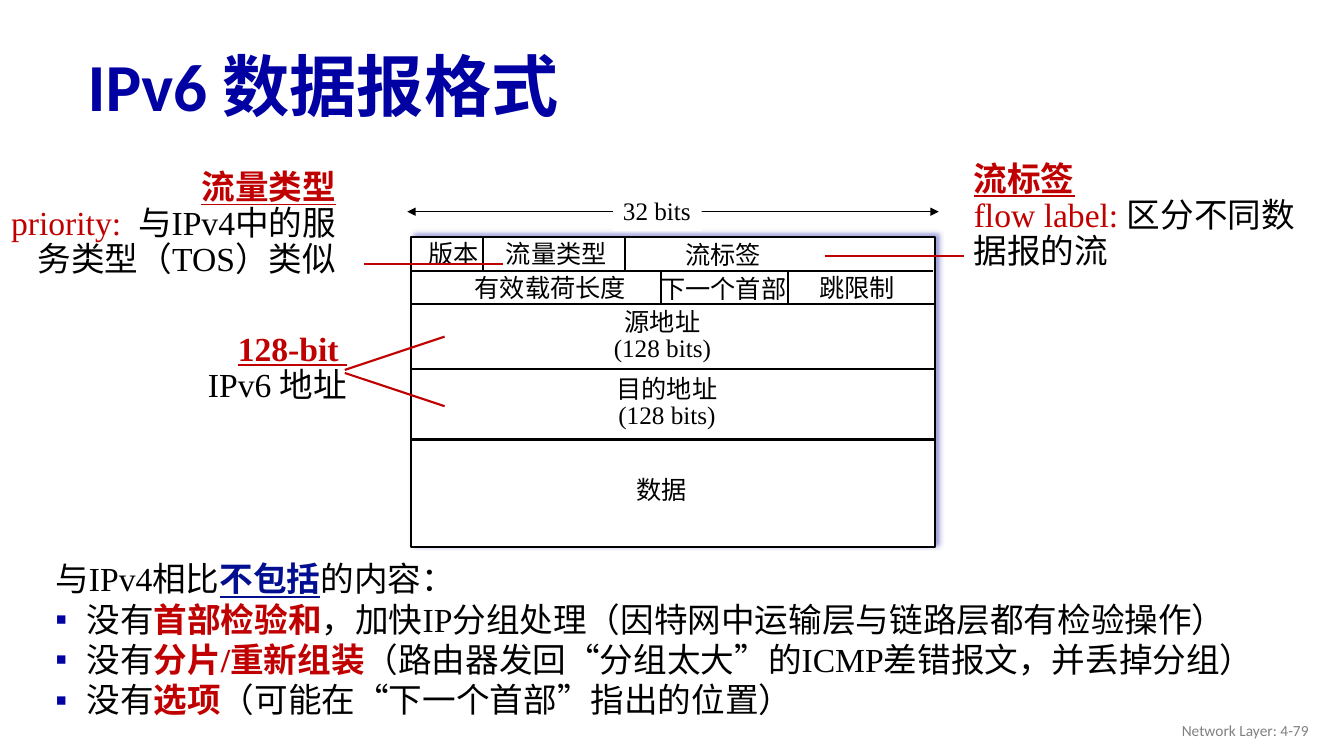
"""Build a slide on the IPv6 datagram format."""
from lxml.etree import SubElement
from pptx import Presentation
from pptx.dml.color import RGBColor
from pptx.enum.lang import MSO_LANGUAGE_ID as Lang
from pptx.enum.shapes import MSO_CONNECTOR as Conn, MSO_SHAPE as Shape
from pptx.enum.text import MSO_ANCHOR as Anchor, PP_ALIGN as Align
from pptx.oxml import parse_xml
from pptx.oxml.ns import nsdecls, qn
from pptx.util import Pt

PX = 9144
BLACK = RGBColor(0, 0, 0)
WHITE = RGBColor(255, 255, 255)
BLUE = RGBColor(0, 0, 0xA3)
NAVY = RGBColor(0x01, 0x0F, 0x90)
RED = RGBColor(0xC0, 0, 0)
GRAY = RGBColor(0x80, 0x80, 0x80)

deck = Presentation()
deck.slide_width, deck.slide_height = 1333 * PX, 750 * PX
slide = deck.slides.add_slide(deck.slide_layouts[5])
shapes = slide.shapes


def write(text, box, shape=None, size=18, face="Times New Roman", color=BLACK,
          align=Align.LEFT, anchor=Anchor.TOP, space=None, wrap=False,
          bold=False, bullet=None):
    """Put text, or lists of styled runs, into a box."""
    shape = shape or shapes.add_textbox(0, 0, 0, 0)
    shape.left, shape.top, shape.width, shape.height = [n * PX for n in box]
    frame = shape.text_frame
    frame.word_wrap, frame.vertical_anchor = wrap, anchor
    rows = [[(text, color, bold, False)]] if isinstance(text, str) else text
    for i, row in enumerate(rows):
        para = frame.paragraphs[0] if i == 0 else frame.add_paragraph()
        para.alignment = align
        if space:
            para.line_spacing = space
        if bullet and i:
            props = para._p.get_or_add_pPr()
            props.set("marL", str(31 * PX))
            props.set("indent", str(-31 * PX))
            tint = SubElement(props, qn("a:buClr"))
            SubElement(tint, qn("a:srgbClr"), val=str(BLUE))
            SubElement(props, qn("a:buFont"), typeface="Arial")
            SubElement(props, qn("a:buChar"), char=bullet)
        for words, tone, heavy, under in row:
            run = para.add_run()
            run.text = words
            font = run.font
            font.name, font.size, font.bold = face, Pt(size), heavy
            font.underline, font.color.rgb = under, tone
            font.language_id = Lang.SIMPLIFIED_CHINESE
    return shape


def draw(x1, y1, x2, y2, color=BLACK, width=1.5):
    """Draw a straight line without a shadow."""
    line = shapes.add_connector(Conn.STRAIGHT, x1 * PX, y1 * PX, x2 * PX, y2 * PX)
    line.line.color.rgb, line.line.width = color, Pt(width)
    SubElement(line._element.spPr, qn("a:effectLst"))
    return line


write("IPv6 数据报格式", (77, 31, 1150, 117), shape=shapes.title, size=48,
      face="Calibri", color=BLUE, bold=True, anchor=Anchor.MIDDLE, space=0.9,
      wrap=True)

frame = shapes.add_shape(Shape.RECTANGLE, 408 * PX, 235 * PX, 519 * PX, 308 * PX)
frame.fill.solid()
frame.fill.fore_color.rgb = WHITE
frame.line.color.rgb, frame.line.width = BLACK, Pt(1.5)
frame._element.spPr.append(parse_xml(
    f'<a:effectLst {nsdecls("a")}><a:outerShdw blurRad="{Pt(4)}" dist="{Pt(3)}" '
    f'dir="18900000" algn="bl" rotWithShape="0"><a:srgbClr val="{BLUE}">'
    '<a:alpha val="40000"/></a:srgbClr></a:outerShdw></a:effectLst>'))

for y, right in ((269, 925), (302, 928), (366, 928), (436, 928)):
    draw(408, y, right, y)
for x, top, low in ((479, 236, 269), (620, 236, 269), (656, 269, 302), (782, 269, 302)):
    draw(x, top, x, low)

for name, x, y, width in (
        ("版本", 415, 232, 71), ("流量类型", 492, 232, 121), ("流标签", 670, 233, 96),
        ("有效载荷长度", 461, 265, 172), ("下一个首部", 645, 266, 146),
        ("跳限制", 803, 265, 96), ("数据", 621, 466, 71)):
    write(name, (x, y, width, 40))
for name, x, y, width in (("源地址", 598, 304, 118), ("目的地址", 599, 370, 125)):
    write([[(part, BLACK, False, False)] for part in (name, "(128 bits)")],
          (x, y, width, 62), align=Align.CENTER, space=0.85)

ruler = draw(404, 210, 931, 210, width=0.75)
ends = ruler.line._get_or_add_ln()
for tag in ("a:headEnd", "a:tailEnd"):
    SubElement(ends, qn(tag), type="triangle")
scale = write("32 bits", (608, 189, 88, 40))
scale.fill.solid()
scale.fill.fore_color.rgb = WHITE

for head, lead, rest, box, align in (
        ("流量类型", "priority:  ", "与IPv4中的服务类型（TOS）类似", (-8, 164, 351, 119), Align.RIGHT),
        ("流标签", "flow label: ", "区分不同数据报的流", (956, 156, 354, 119), Align.LEFT),
        ("128-bit ", "", "IPv6 地址", (0, 325, 354, 83), Align.RIGHT)):
    body = [(lead, RED, False, False)] if lead else []
    write([[(head, RED, True, True)], body + [(rest, BLACK, False, False)]],
          box, size=24, align=align, space=0.9, wrap=True)
for ends in ((361, 262, 499, 262), (818, 254, 956, 254),
             (342, 370, 441, 403), (342, 367, 441, 334)):
    draw(*ends, color=RED)

notes = [[("与IPv4相比", BLACK, False, False), ("不包括", NAVY, True, True),
          ("的内容：", BLACK, False, False)]]
for key, rest in (
        ("首部检验和", "，加快IP分组处理（因特网中运输层与链路层都有检验操作）"),
        ("分片/重新组装", "（路由器发回“分组太大”的ICMP差错报文，并丢掉分组）"),
        ("选项", "（可能在“下一个首部”指出的位置）")):
    notes.append([("没有", BLACK, False, False), (key, RED, True, False),
                  (rest, BLACK, False, False)])
write(notes, (45, 549, 1265, 172), size=24, wrap=True, bullet="▪")

write("Network Layer: 4-79", (1008, 705, 300, 40), size=11, face="Calibri",
      color=GRAY, align=Align.RIGHT, anchor=Anchor.MIDDLE, wrap=True)

deck.save("out.pptx")
